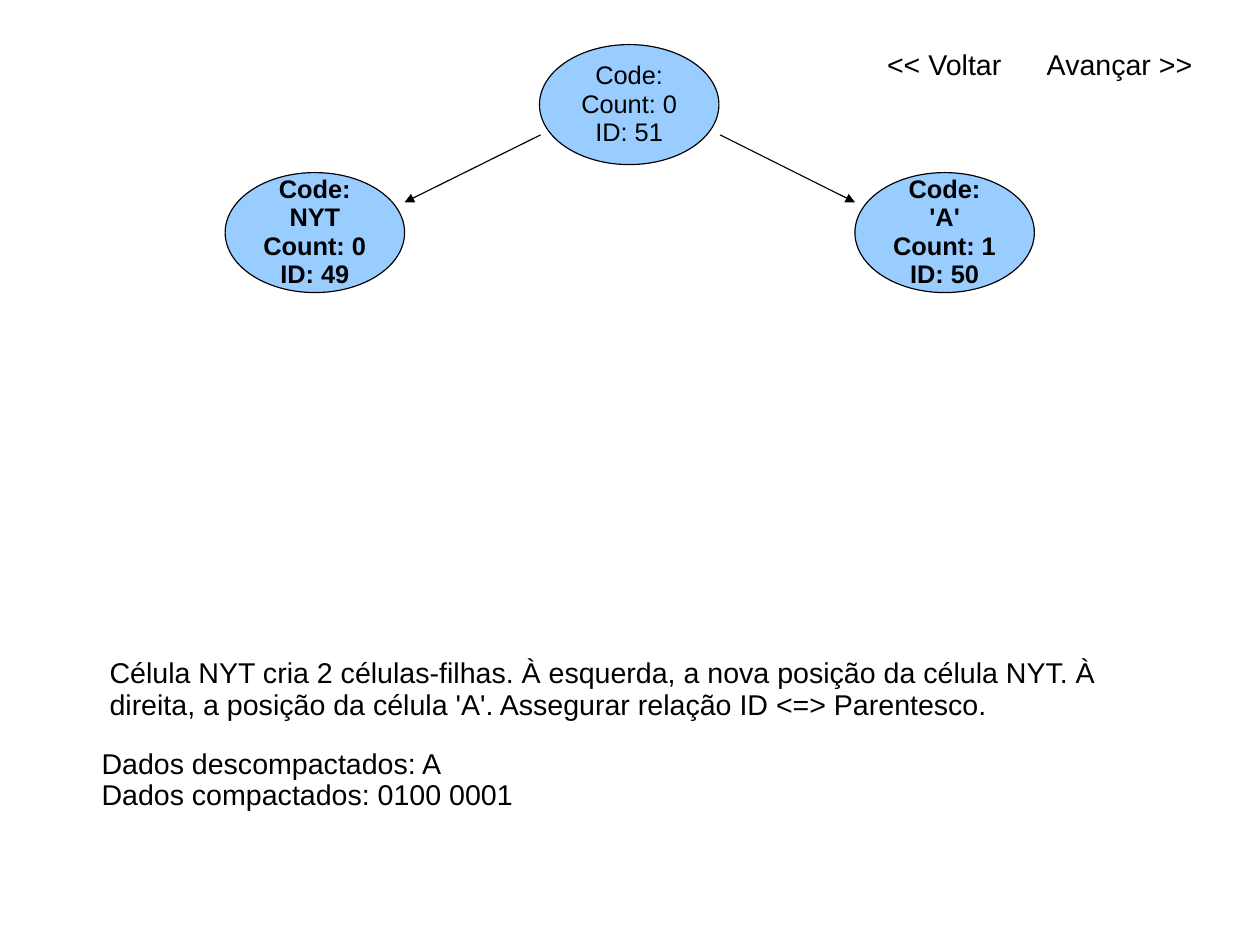
from lxml.etree import SubElement
from pptx import Presentation
from pptx.dml.color import RGBColor
from pptx.enum.shapes import MSO_CONNECTOR, MSO_SHAPE
from pptx.enum.text import MSO_ANCHOR, MSO_AUTO_SIZE, PP_ALIGN
from pptx.oxml.ns import qn
from pptx.util import Inches, Pt

BLACK = RGBColor(0x00, 0x00, 0x00)
NODE_BLUE = RGBColor(0x99, 0xCC, 0xFF)
NODE_WIDTH, NODE_HEIGHT = 1.57, 1.05


def write_lines(frame, lines, size, align, bold=False):
    frame.text = "\n".join(lines)
    for paragraph in frame.paragraphs:
        paragraph.alignment = align
        paragraph.line_spacing = 0.93
        paragraph.font.name = "Arial"
        paragraph.font.size = Pt(size)
        paragraph.font.bold = bold
        paragraph.font.color.rgb = BLACK


presentation = Presentation()
presentation.slide_width = Inches(28 / 2.54)
presentation.slide_height = Inches(21 / 2.54)
slide = presentation.slides.add_slide(presentation.slide_layouts[6])

tree_nodes = [
    (4.72, 0.39, ["Code:", "Count: 0", "ID: 51"], False),
    (1.97, 1.51, ["Code: NYT", "Count: 0", "ID: 49"], True),
    (7.48, 1.51, ["Code: 'A'", "Count: 1", "ID: 50"], True),
]
for left, top, lines, bold in tree_nodes:
    node = slide.shapes.add_shape(
        MSO_SHAPE.OVAL, Inches(left), Inches(top), Inches(NODE_WIDTH), Inches(NODE_HEIGHT)
    )
    node.shadow.inherit = False
    node.fill.solid()
    node.fill.fore_color.rgb = NODE_BLUE
    node.line.color.rgb = BLACK
    node.line.width = Pt(0.75)
    node.text_frame.word_wrap = True
    node.text_frame.vertical_anchor = MSO_ANCHOR.MIDDLE
    write_lines(node.text_frame, lines, 16, PP_ALIGN.CENTER, bold)

for parent_x, child_x in [(4.73, 3.54), (6.3, 7.48)]:
    branch = slide.shapes.add_connector(
        MSO_CONNECTOR.STRAIGHT, Inches(parent_x), Inches(1.18), Inches(child_x), Inches(1.77)
    )
    branch.line.color.rgb = BLACK
    branch.line.width = Pt(0.75)
    branch_properties = branch._element.spPr
    SubElement(branch_properties.find(qn("a:ln")), qn("a:tailEnd"), type="triangle")
    SubElement(branch_properties, qn("a:effectLst"))

explanation = [
    "Célula NYT cria 2 células-filhas. À esquerda, a nova posição da célula NYT. À",
    "direita, a posição da célula 'A'. Assegurar relação ID <=> Parentesco.",
]
data_summary = ["Dados descompactados: A", "Dados compactados: 0100 0001"]
captions = [
    (0.79, 6.5, 9.06, 0.66, data_summary, PP_ALIGN.LEFT, True),
    (0.86, 5.71, 8.85, 0.66, explanation, PP_ALIGN.LEFT, False),
    (7.48, 0.39, 1.38, 0.38, ["<< Voltar"], PP_ALIGN.RIGHT, True),
    (9.06, 0.39, 1.57, 0.38, ["Avançar >>"], PP_ALIGN.LEFT, True),
]
for left, top, width, height, lines, align, wrap in captions:
    caption = slide.shapes.add_textbox(Inches(left), Inches(top), Inches(width), Inches(height))
    caption.text_frame.word_wrap = wrap
    caption.text_frame.auto_size = MSO_AUTO_SIZE.SHAPE_TO_FIT_TEXT
    write_lines(caption.text_frame, lines, 18, align)

presentation.save("out.pptx")
